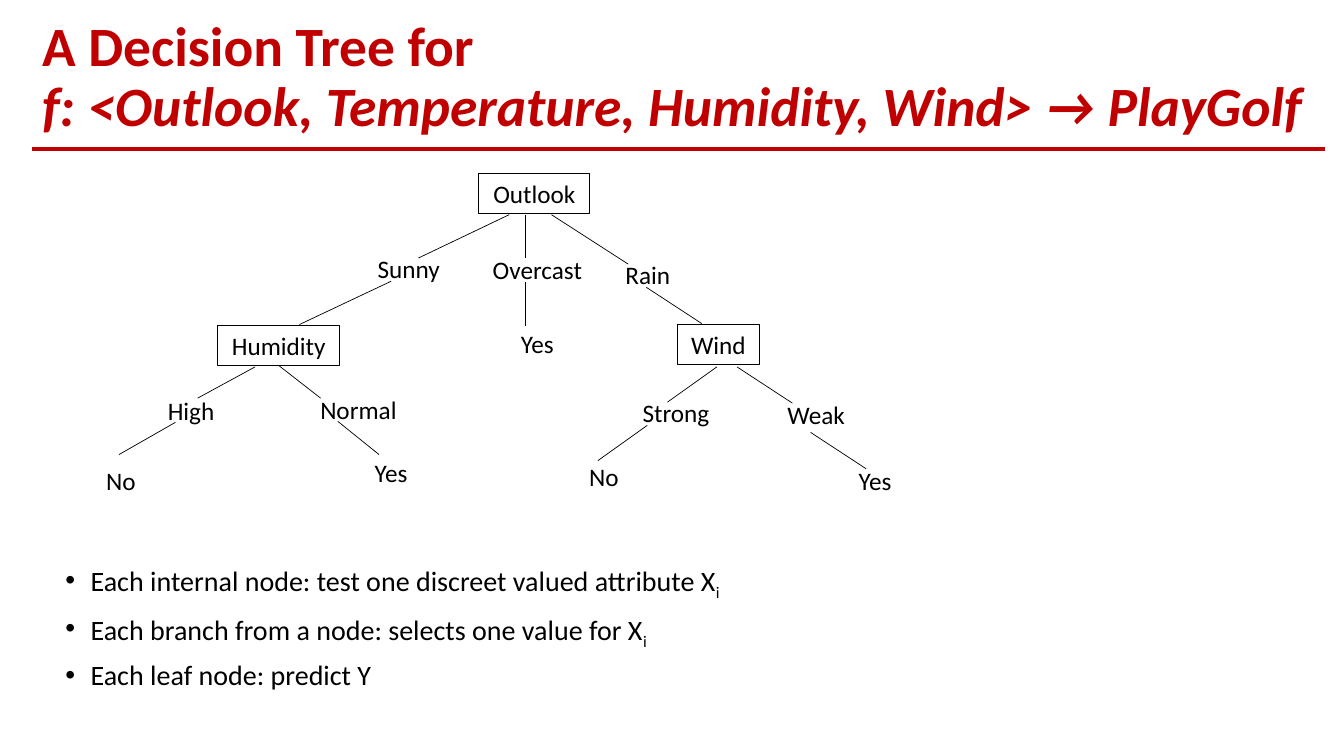
from lxml import etree
from pptx import Presentation
from pptx.dml.color import RGBColor
from pptx.enum.shapes import MSO_CONNECTOR, MSO_SHAPE
from pptx.enum.text import MSO_ANCHOR, PP_ALIGN
from pptx.oxml.ns import qn
from pptx.util import Inches, Pt

RED = RGBColor(0xC0, 0x00, 0x00)
BLACK = RGBColor(0x00, 0x00, 0x00)
STRAIGHT = MSO_CONNECTOR.STRAIGHT
RECT = MSO_SHAPE.RECTANGLE
TOP, MIDDLE = MSO_ANCHOR.TOP, MSO_ANCHOR.MIDDLE
LEFT, CENTER = PP_ALIGN.LEFT, PP_ALIGN.CENTER

ROW = 0.4  # height of every node and label

# Attribute tests: text, left, top, width
TESTS = [
    ("Outlook", 4.75, 1.72, 1.1),
    ("Humidity", 2.16, 3.23, 1.21),
    ("Wind", 6.72, 3.22, 0.81),
]

# Branch values and leaves: text, left, top, width
LABELS = [
    ("Sunny", 3.54, 2.46, 1.03),
    ("Overcast", 4.78, 2.47, 1.1),
    ("Rain", 6.06, 2.52, 0.73),
    ("High", 1.54, 3.87, 0.71),
    ("Normal", 3.04, 3.86, 1.03),
    ("Strong", 6.19, 3.89, 1.03),
    ("Weak", 7.58, 3.91, 1.03),
    ("Yes", 4.96, 3.21, 0.74),
    ("No", 0.83, 4.57, 0.74),
    ("Yes", 3.51, 4.49, 0.74),
    ("No", 5.62, 4.53, 0.74),
    ("Yes", 8.31, 4.57, 0.74),
]

# Each branch: line down to its value, then line on to the next node
BRANCHES = [
    ((5.05, 2.13, 4.15, 2.56), (3.88, 2.79, 2.97, 3.22)),
    ((5.21, 2.13, 5.21, 2.56), (5.21, 2.8, 5.21, 3.23)),
    ((5.47, 2.13, 6.23, 2.62), (6.41, 2.85, 6.96, 3.21)),
    ((2.53, 3.64, 1.96, 3.95), (1.74, 4.19, 1.18, 4.51)),
    ((2.77, 3.63, 3.18, 3.95), (3.35, 4.18, 3.76, 4.51)),
    ((7.11, 3.64, 6.62, 3.99), (6.42, 4.22, 5.93, 4.57)),
    ((7.31, 3.64, 7.86, 4), (8.04, 4.29, 8.59, 4.65)),
]

# Bullets: text, subscript
NOTES = [
    ("Each internal node: test one discreet valued attribute X", "i"),
    ("Each branch from a node: selects one value for X", "i"),
    ("Each leaf node: predict Y", ""),
]


class Board:
    """Holds the text style and the current slide."""

    def __init__(self, slide, face="Calibri"):
        self.slide = slide
        self.face = face

    def run(self, para, text, size, color=BLACK, bold=False, slant=False, base=0):
        run = para.add_run()
        run.text = text
        font = run.font
        font.name, font.size = self.face, Pt(size)
        font.bold, font.italic = bold, slant
        font.color.rgb = color
        if base:
            font._element.set("baseline", str(base * 1000))

    def frame(self, shape, anchor=TOP, align=LEFT):
        frame = shape.text_frame
        frame.word_wrap = True
        frame.vertical_anchor = anchor
        frame.paragraphs[0].alignment = align
        return frame

    def box(self, left, top, width, height):
        return self.slide.shapes.add_textbox(
            Inches(left), Inches(top), Inches(width), Inches(height))

    def line(self, x1, y1, x2, y2, color=BLACK, width=0.5):
        line = self.slide.shapes.add_connector(
            STRAIGHT, Inches(x1), Inches(y1), Inches(x2), Inches(y2))
        line.line.color.rgb = color
        line.line.width = Pt(width)
        etree.SubElement(line._element.spPr, qn("a:effectLst"))

    def title(self, first, second):
        frame = self.frame(self.box(0.32, 0.28, 12.82, 1), MIDDLE)
        para = frame.paragraphs[0]
        para.line_spacing = 0.9
        self.run(para, first, 39.6, RED, bold=True)
        para.add_line_break()
        self.run(para, second, 39.6, RED, bold=True, slant=True)

    def label(self, text, left, top, width):
        frame = self.frame(self.box(left, top, width, ROW), align=CENTER)
        self.run(frame.paragraphs[0], text, 18)

    def test(self, text, left, top, width):
        shape = self.slide.shapes.add_shape(
            RECT, Inches(left), Inches(top), Inches(width), Inches(ROW))
        shape.shadow.inherit = False
        shape.fill.background()
        shape.line.color.rgb = BLACK
        shape.line.width = Pt(0.75)
        frame = self.frame(shape, align=CENTER)
        self.run(frame.paragraphs[0], text, 18)

    def bullets(self, notes):
        frame = self.frame(self.box(0.55, 5.55, 10.62, 1.33))
        for num, (text, sub) in enumerate(notes):
            para = frame.add_paragraph() if num else frame.paragraphs[0]
            para.line_spacing = 0.9
            if num:
                para.space_before = Pt(10)
            props = para._p.get_or_add_pPr()
            props.set("marL", str(Inches(0.25)))
            props.set("indent", str(Inches(-0.25)))
            etree.SubElement(props, qn("a:buFont"), typeface="Arial")
            etree.SubElement(props, qn("a:buChar"), char="•")
            self.run(para, text, 20)
            if sub:
                self.run(para, sub, 20, base=-25)


def main():
    deck = Presentation()
    deck.slide_width, deck.slide_height = Inches(13.33), Inches(7.5)
    board = Board(deck.slides.add_slide(deck.slide_layouts[6]))

    # Heading with its rule
    board.line(0.32, 1.48, 13.14, 1.48, RED, 2.5)
    board.title("A Decision Tree for",
                "f: <Outlook, Temperature, Humidity, Wind> → PlayGolf")

    # Notes under the tree
    board.bullets(NOTES)

    # Decision tree
    for test in TESTS:
        board.test(*test)
    for label in LABELS:
        board.label(*label)
    for branch in BRANCHES:
        for part in branch:
            board.line(*part)

    deck.save("out.pptx")


if __name__ == "__main__":
    main()
